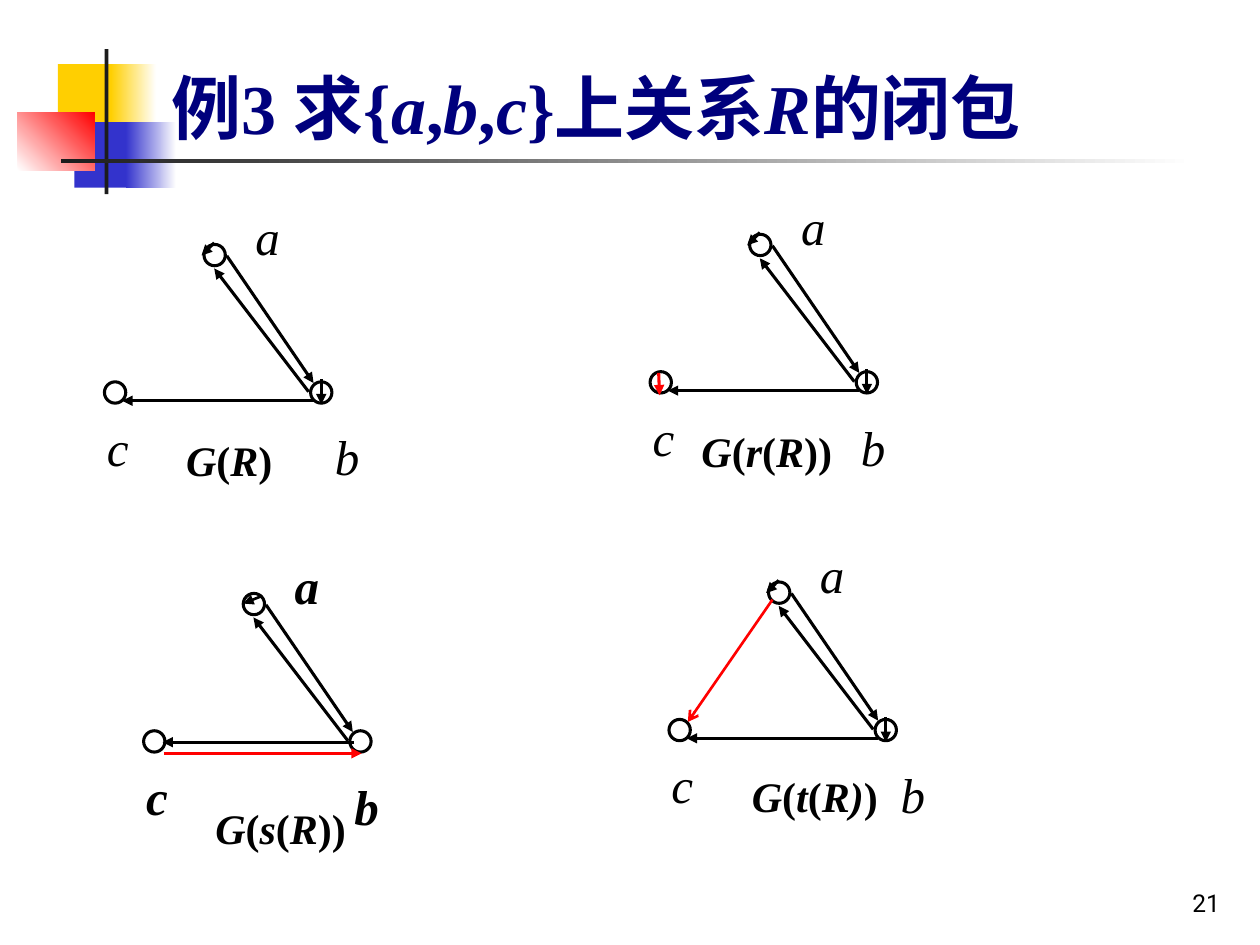
from lxml.etree import SubElement
from pptx import Presentation
from pptx.dml.color import RGBColor
from pptx.enum.shapes import MSO_CONNECTOR as Link, MSO_SHAPE as Preset
from pptx.enum.text import MSO_ANCHOR as Anchor, MSO_AUTO_SIZE as AutoSize, PP_ALIGN as Align
from pptx.oxml.ns import qn
from pptx.util import Pt

SERIF = "Times New Roman"
BLACK, WHITE, RED, NAVY = "000000", "FFFFFF", "FF0000", "00007D"
YELLOW, BLUE, DARK = "FFCF01", "3333CC", "1C1C1C"

TITLE = "例3 求{*a*,*b*,*c*}上关系*R*的闭包"
PAGE_NUMBER = "21"

DECORATION = [
    ((33.1, 36.7, 34.6, 37.4), [YELLOW], 0),
    ((63.4, 36.7, 25.9, 37.4), [YELLOW, WHITE], 0),
    ((42.5, 69.8, 33.1, 37.4), [BLUE], 0),
    ((72, 69.8, 28.8, 37.4), [BLUE, WHITE], 0),
    ((10.1, 64.1, 43.9, 33.1), [WHITE, RED], 45),
    ((59.8, 28.1, 2.2, 82.8), [DARK], 0),
    ((34.6, 90.7, 648, 2.2), [DARK, WHITE], 0),
]

NODE_SIZE = 12.2
NODES = [(0, 0), (-56.9, 78.5), (60.9, 78.5)]
LABELS = {"a": (22.3, -28.4), "c": (-62.6, 91.8), "b": (56.5, 97.6)}
A_TO_B = ((13, 6.5), (62.6, 79.2))
B_TO_A = ((59.8, 84.2), (5.8, 13.7))
B_TO_C = ((62.6, 89.3), (-46.8, 89.3))
LOOP_A = ((5.8, -1), (-1.4, 6.3))
LOOP_B = ((67, 77), (67, 91.4))
LOOP_C = ((-52, 79.2), (-51.5, 92))
PLAIN = (BLACK, 1.75, "triangle")
COMMON = [(A_TO_B, PLAIN), (B_TO_A, PLAIN)]
LOOPED = COMMON + [(B_TO_C, PLAIN), (LOOP_A, PLAIN), (LOOP_B, PLAIN)]

GRAPHS = [
    dict(origin=(428.4, 133.9), caption="*G*(*r*(*R*))", place=(-34.6, 103, 108),
         edges=LOOPED + [(LOOP_C, (RED, 1.75, "triangle"))]),
    dict(origin=(116.6, 139.7), caption="*G*(*R*)", place=(-17.3, 102.2, 124.6),
         edges=LOOPED, moved={"b": (67.7, 97.2)}),
    dict(origin=(139, 339.1), caption="*G*(*s*(*R*))", place=(-23, 113, 136),
         edges=COMMON + [
             (((63.4, 85), (-46.1, 85)), PLAIN),
             (((-45.4, 91.4), (67.7, 91.4)), (RED, 1.5, "triangle")),
             (((10.8, 1.4), (0, 5.8)), (BLACK, 1.5, "triangle"))],
         bold=True),
    dict(origin=(439.2, 332.6), caption="*G*(*t*(*R)*)", place=(-16.6, 101.5, 124.6),
         edges=LOOPED + [(((2.2, 10.1), (-46.1, 79.9)), (RED, 1.5, "arrow"))],
         moved={"b": (68.4, 97.2)}),
]


def paint(color_format, value):
    color_format.rgb = RGBColor.from_string(value)


def write(box, text, size, color=BLACK, name=SERIF, bold=False, align=Align.LEFT,
          anchor=Anchor.TOP, wrap=True, spacing=1.0):
    frame = box.text_frame
    frame.auto_size = AutoSize.NONE
    frame.word_wrap = wrap
    frame.vertical_anchor = anchor
    para = frame.paragraphs[0]
    para.alignment = align
    para.line_spacing = spacing
    para.font.size, para.font.name, para.font.bold = Pt(size), name, bold
    paint(para.font.color, color)
    for index, piece in enumerate(text.split("*")):
        if piece:
            span = para.add_run()
            span.text = piece
            span.font.italic = index % 2 == 1


def add_block(shapes, place, colors, angle):
    block = shapes.add_shape(Preset.RECTANGLE, *map(Pt, place))
    block.shadow.inherit = False
    block.line.fill.background()
    if len(colors) == 1:
        block.fill.solid()
        paint(block.fill.fore_color, colors[0])
        return
    block.fill.gradient()
    block.fill.gradient_angle = angle
    for stop, color in zip(block.fill.gradient_stops, colors):
        paint(stop.color, color)


def add_arrow(shapes, start, end, color, width, head):
    arrow = shapes.add_connector(Link.STRAIGHT, *map(Pt, start + end))
    paint(arrow.line.color, color)
    arrow.line.width = Pt(width)
    properties = arrow._element.spPr
    SubElement(properties.find(qn("a:ln")), qn("a:tailEnd"), type=head)
    SubElement(properties, qn("a:effectLst"))


def add_graph(page, origin, caption, place, edges, moved={}, bold=False):
    def at(point):
        return origin[0] + point[0], origin[1] + point[1]

    shapes = page.shapes.add_group_shape().shapes
    for point in NODES:
        node = shapes.add_shape(Preset.OVAL, *map(Pt, at(point) + (NODE_SIZE, NODE_SIZE)))
        node.shadow.inherit = False
        node.fill.background()
        paint(node.line.color, BLACK)
        node.line.width = Pt(1.75)
    for letter, point in {**LABELS, **moved}.items():
        label = shapes.add_textbox(*map(Pt, at(point) + (33.8, 44.6)))
        write(label, f"*{letter}*", 28, bold=bold, spacing=1.1)
    for (start, end), style in edges:
        add_arrow(shapes, at(start), at(end), *style)
    left, top, width = place
    box = shapes.add_textbox(*map(Pt, at((left, top)) + (width, 38.9)))
    write(box, caption, 24, bold=True, spacing=1.1)


def main():
    deck = Presentation()
    deck.slide_width, deck.slide_height = Pt(720), Pt(540)
    page = deck.slides.add_slide(deck.slide_layouts[5])
    for place, colors, angle in DECORATION:
        add_block(page.shapes, place, colors, angle)

    title = page.shapes.title
    title._element.getparent().append(title._element)
    title.left, title.top, title.width, title.height = map(Pt, (90.7, 28.1, 613.4, 60.5))
    write(title, TITLE, 40, NAVY, bold=True, anchor=Anchor.BOTTOM)

    number = page.shapes.add_textbox(*map(Pt, (554.4, 491.8, 149.8, 36)))
    write(number, PAGE_NUMBER, 14, name="Roboto", align=Align.RIGHT, anchor=Anchor.BOTTOM)

    for graph in GRAPHS:
        add_graph(page, **graph)
    deck.save("out.pptx")


if __name__ == "__main__":
    main()
